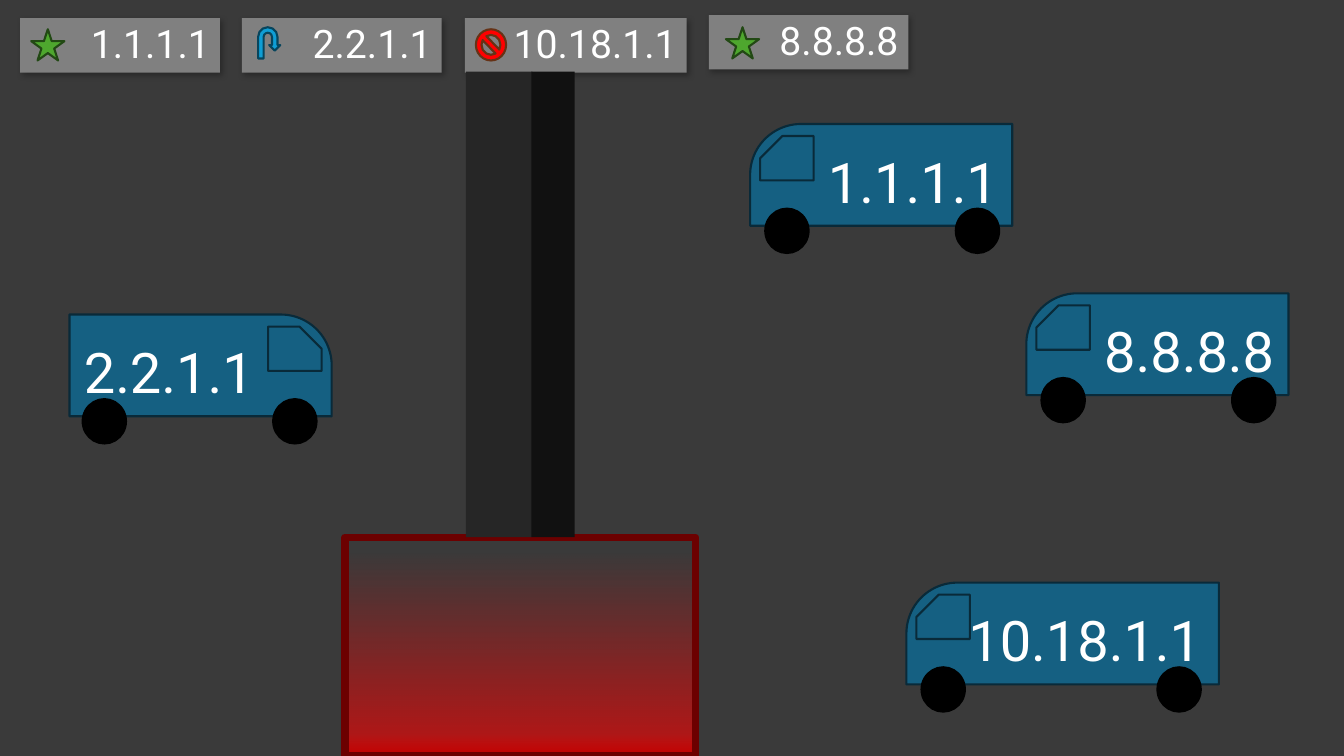
import pptx
import pptx.dml.color
import pptx.enum.shapes
import pptx.enum.text
import pptx.oxml
import pptx.oxml.ns
import pptx.util

Inches = pptx.util.Inches
Pt = pptx.util.Pt
RGB = pptx.dml.color.RGBColor
SHAPE = pptx.enum.shapes.MSO_SHAPE
ALIGN = pptx.enum.text.PP_ALIGN
ANCHOR = pptx.enum.text.MSO_ANCHOR

ASPHALT = RGB(0x3A, 0x3A, 0x3A)
SIGN_GREY = RGB(0x80, 0x80, 0x80)
WHITE = RGB(0xFF, 0xFF, 0xFF)
BLACK = RGB(0, 0, 0)
VAN_BLUE = RGB(0x15, 0x60, 0x82)
VAN_EDGE = RGB(0x09, 0x2A, 0x39)
ARROW_BLUE = RGB(0x0F, 0x9E, 0xD5)
ARROW_EDGE = RGB(0x07, 0x45, 0x5D)
STAR_GREEN = RGB(0x4E, 0xA7, 0x2E)
STAR_EDGE = RGB(0x22, 0x49, 0x14)
STOP_RED = RGB(0xFF, 0, 0)
STOP_EDGE = RGB(0x66, 0x32, 0x16)
PIT_EDGE = RGB(0x6C, 0, 0)
POST_FRONT = RGB(0x26, 0x26, 0x26)
POST_SIDE = RGB(0x11, 0x11, 0x11)

NAMESPACE = pptx.oxml.ns.nsdecls("a")
SIGN_SHADOW = (
    f'<a:effectLst {NAMESPACE}><a:outerShdw blurRad="57150" dist="33020" dir="3180000" '
    'algn="ctr" rotWithShape="0"><a:srgbClr val="000000"><a:alpha val="30000"/>'
    '</a:srgbClr></a:outerShdw></a:effectLst>')
# position %, colour, opacity %
PIT_STOPS = [(0, "C00000", 100), (10, "FF0000", 59), (93, "FF0000", 0)]


def write_text(shape, text, size, align, anchor=ANCHOR.TOP, line_spacing=None, space_before=None):
    frame = shape.text_frame
    frame.word_wrap = True
    frame.vertical_anchor = anchor
    paragraph = frame.paragraphs[0]
    paragraph.alignment = align
    paragraph.line_spacing = line_spacing
    paragraph.space_before = space_before
    run = paragraph.add_run()
    run.text = text
    run.font.name = "Roboto"
    run.font.size = Pt(size)
    run.font.color.rgb = WHITE


class TrafficSlide:
    """Holds the slide and draws the parts of the road scene on it."""

    def __init__(self, presentation):
        self.slide = presentation.slides.add_slide(presentation.slide_layouts[6])
        self.shapes = self.slide.shapes
        self.slide.background.fill.solid()
        self.slide.background.fill.fore_color.rgb = ASPHALT

    def block(self, kind, box, fill, edge=None, edge_width=1.5, parent=None,
              flipped=False, corner=None):
        """Draws a preset shape, on the slide or inside a parent group."""
        shapes = parent.shapes if parent else self.shapes
        shape = shapes.add_shape(kind, *map(Inches, box))
        shape.shadow.inherit = False
        if fill is None:
            shape.fill.background()
        else:
            shape.fill.solid()
            shape.fill.fore_color.rgb = fill
        if edge is None:
            shape.line.fill.background()
        else:
            shape.line.color.rgb = edge
            shape.line.width = Pt(edge_width)
        if corner is not None:
            shape.adjustments[0] = corner
        if flipped:
            shape._element.spPr.get_or_add_xfrm().set("flipH", "1")
        return shape

    def sign(self, address, left, top, width):
        plate = self.block(SHAPE.RECTANGLE, (left, top, width, 0.54), SIGN_GREY)
        properties = plate._element.spPr
        properties.remove(properties.find(pptx.oxml.ns.qn("a:effectLst")))
        properties.append(pptx.oxml.parse_xml(SIGN_SHADOW))
        write_text(plate, address, 28, ALIGN.RIGHT, anchor=ANCHOR.MIDDLE,
                   line_spacing=0.9, space_before=Pt(10))

    def pit(self, box):
        """Draws the red pit that fades out towards its top."""
        pit = self.block(SHAPE.RECTANGLE, box, None, PIT_EDGE, 5.25)
        stops = "".join(
            f'<a:gs pos="{position * 1000}"><a:srgbClr val="{color}">'
            f'<a:alpha val="{opacity * 1000}"/></a:srgbClr></a:gs>'
            for position, color, opacity in PIT_STOPS)
        gradient = pptx.oxml.parse_xml(
            f'<a:gradFill {NAMESPACE} rotWithShape="1"><a:gsLst>{stops}</a:gsLst>'
            '<a:lin ang="16200000" scaled="0"/></a:gradFill>')
        properties = pit._element.spPr
        properties.replace(properties.find(pptx.oxml.ns.qn("a:noFill")), gradient)

    def van(self, address, left, top, width=2.6, faces_left=True, rear_gap=0.13,
            label_inset=0.63, label_width=1.97):
        """Draws a van; offsets run from its nose and are mirrored when it faces right."""
        group = self.shapes.add_group_shape()

        def place(offset, drop, part_width, height):
            across = offset if faces_left else width - offset - part_width
            return left + across, top + drop, part_width, height

        self.block(SHAPE.ROUND_1_RECTANGLE, place(0, 0, width, 1.01), VAN_BLUE, VAN_EDGE,
                   parent=group, flipped=faces_left, corner=0.5)
        for wheel in (0.15, width - rear_gap - 0.43):
            self.block(SHAPE.OVAL, place(wheel, 0.84, 0.43, 0.44), BLACK, BLACK, parent=group)
        self.block(SHAPE.SNIP_1_RECTANGLE, place(0.1, 0.12, 0.53, 0.44), VAN_BLUE, VAN_EDGE,
                   parent=group, flipped=faces_left, corner=0.5)
        label_box = place(label_inset, 0.18, label_width, 0.77)
        label = group.shapes.add_textbox(*map(Inches, label_box))
        write_text(label, address, 40, ALIGN.CENTER)


def main():
    presentation = pptx.Presentation()
    presentation.slide_width = Inches(13.33)
    presentation.slide_height = Inches(7.5)
    scene = TrafficSlide(presentation)

    scene.sign("1.1.1.1", 0.2, 0.18, 1.98)
    scene.sign("2.2.1.1", 2.4, 0.18, 1.98)
    scene.sign("10.18.1.1", 4.61, 0.18, 2.2)
    scene.sign("8.8.8.8", 7.03, 0.15, 1.98)

    scene.block(SHAPE.U_TURN_ARROW, (2.56, 0.27, 0.22, 0.31), ARROW_BLUE, ARROW_EDGE)
    for left, top in ((0.31, 0.29), (7.2, 0.27)):
        scene.block(SHAPE.STAR_5_POINT, (left, top, 0.33, 0.31), STAR_GREEN, STAR_EDGE)
    scene.block(SHAPE.NO_SYMBOL, (4.72, 0.29, 0.3, 0.31), STOP_RED, STOP_EDGE)

    scene.pit((3.42, 5.33, 3.48, 2.17))
    scene.block(SHAPE.RECTANGLE, (4.62, 0.71, 0.66, 4.62), POST_FRONT)
    scene.block(SHAPE.RECTANGLE, (5.27, 0.71, 0.43, 4.62), POST_SIDE)

    scene.van("8.8.8.8", 10.18, 2.91)
    scene.van("1.1.1.1", 7.44, 1.23)
    scene.van("2.2.1.1", 0.69, 3.12, faces_left=False)
    scene.van("10.18.1.1", 8.99, 5.78, width=3.1, rear_gap=0.18,
              label_inset=0.51, label_width=2.52)

    presentation.save("out.pptx")


if __name__ == "__main__":
    main()
